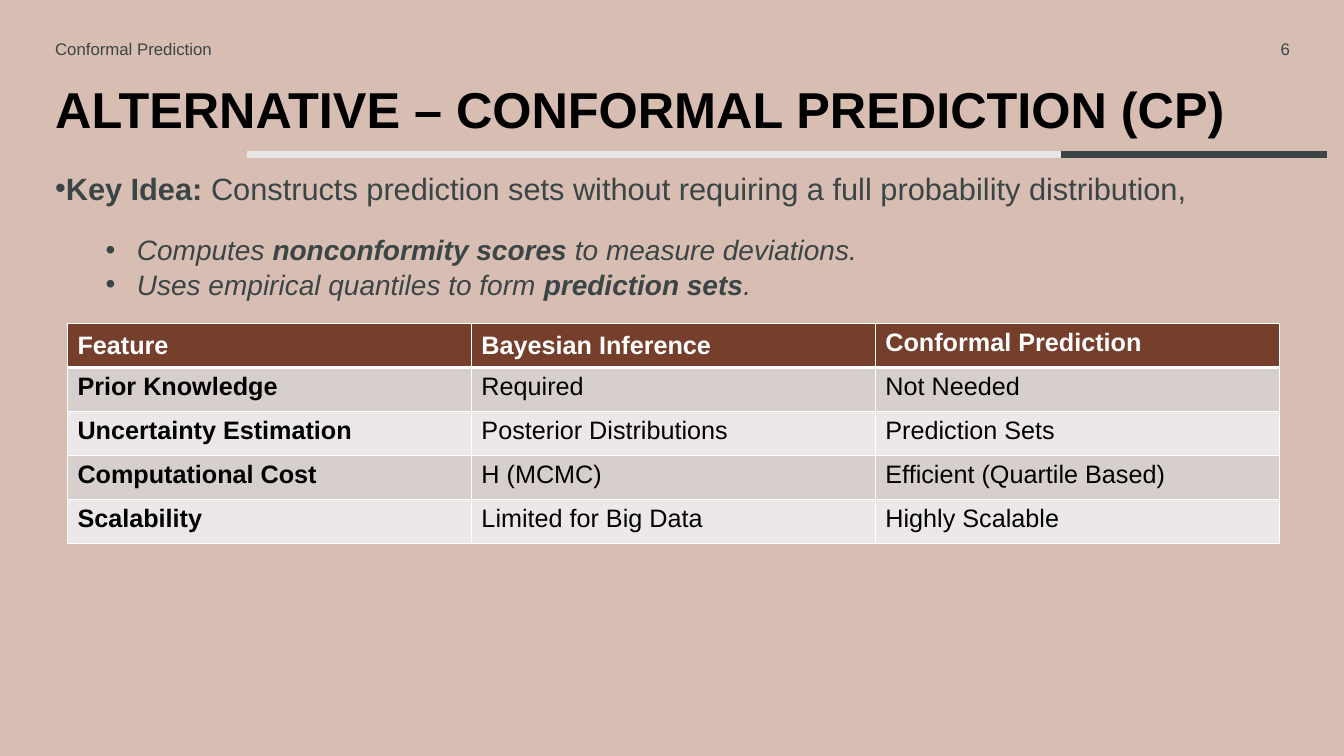
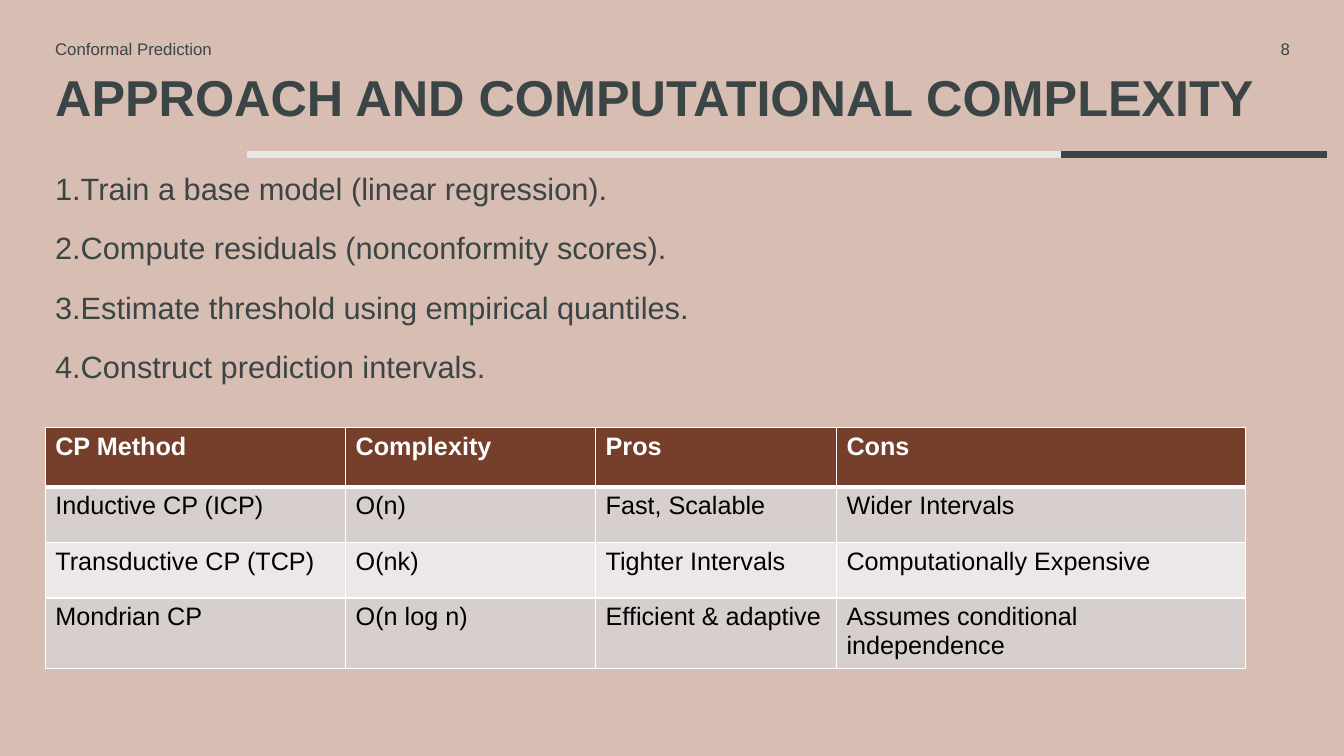
"""Builds two slides on conformal prediction."""
from lxml import etree
from pptx import Presentation
from pptx import util as u
from pptx.dml.color import RGBColor
from pptx.enum import shapes, text
from pptx.oxml.ns import qn

COLOURS = {
    "background": "D8BEB2",
    "ink": "3B4546",
    "black": "000000",
    "white": "FFFFFF",
    "rule": "E7E6E6",
    "header": "753F2C",
    "odd": "D6CFCD",
    "even": "ECE8E8",
}
FONT = "Arial"
LEFT, WIDTH = 1.14, 31.62


def rgb(name):
    return RGBColor.from_string(COLOURS[name])


class Deck:
    def __init__(self):
        self.prs = Presentation()
        self.prs.slide_width, self.prs.slide_height = u.Cm(33.87), u.Cm(19.05)
        fill = self.prs.slide_master.background.fill
        fill.solid()
        fill.fore_color.rgb = rgb("background")
        self.slide = None

    def new_slide(self, number, title, colour="ink", spacing=1.0):
        self.slide = self.prs.slides.add_slide(self.prs.slide_layouts[6])
        self.rule(6.22, 26.75, "rule")
        self.rule(26.75, 33.45, "ink")
        heading = self.box(LEFT, 1.68, WIDTH, 1.96, top=0.28)
        self.put_words(heading.paragraphs[0], title, 36, colour, bold=True)
        heading.paragraphs[0].line_spacing = spacing
        self.small_print(LEFT, 5.08, "Conformal Prediction")
        self.small_print(28.12, 4.64, str(number), text.PP_ALIGN.RIGHT)

    def rule(self, start, end, colour):
        line = self.slide.shapes.add_connector(
            shapes.MSO_CONNECTOR.STRAIGHT, u.Cm(start), u.Cm(3.89), u.Cm(end), u.Cm(3.89))
        line.line.color.rgb = rgb(colour)
        line.line.width = u.Pt(4.5)
        etree.SubElement(line._element.spPr, qn("a:effectLst"))

    def box(self, left, top_edge, width, height, top=0.13):
        frame = self.slide.shapes.add_textbox(
            u.Cm(left), u.Cm(top_edge), u.Cm(width), u.Cm(height)).text_frame
        frame.word_wrap = True
        frame.margin_top = u.Cm(top)
        return frame

    def small_print(self, left, width, words, align=text.PP_ALIGN.LEFT):
        frame = self.box(left, 0.84, width, 0.76)
        frame.vertical_anchor = text.MSO_ANCHOR.MIDDLE
        frame.paragraphs[0].alignment = align
        self.put_words(frame.paragraphs[0], words, 12)

    def put_words(self, paragraph, words, size, colour="ink", bold=False, italic=False):
        for index, part in enumerate(words.split("**")):
            if part:
                run = paragraph.add_run()
                run.text = part
                if index % 2:
                    run.font.bold = True
        font = paragraph.font
        font.name, font.size = FONT, u.Pt(size)
        font.bold, font.italic = bold, italic
        font.color.rgb = rgb(colour)

    def body(self, items):
        frame = self.box(LEFT, 4.11, WIDTH, 13.26, top=0.17)
        for index, (words, marker, level, after) in enumerate(items):
            paragraph = frame.add_paragraph() if index else frame.paragraphs[0]
            self.mark(paragraph, marker, level)
            paragraph.space_after = u.Pt(after)
            self.put_words(paragraph, words, 20 if level else 22, italic=bool(level))

    def mark(self, paragraph, marker, level):
        properties = paragraph._p.get_or_add_pPr()
        properties.set("marL", str(u.Cm(2.06) if level else 0))
        properties.set("indent", str(u.Cm(-0.79) if level else 0))
        if marker == "•":
            etree.SubElement(properties, qn("a:buFont"), typeface=FONT)
            etree.SubElement(properties, qn("a:buChar"), char=marker)
        else:
            etree.SubElement(properties, qn("a:buAutoNum"), type="arabicPeriod")

    def table(self, left, top, columns, heights, rows, bold_first=False):
        grid = self.slide.shapes.add_table(
            len(rows), len(columns), u.Cm(left), u.Cm(top),
            u.Cm(sum(columns)), u.Cm(sum(heights))).table
        for column, width in zip(grid.columns, columns):
            column.width = u.Cm(width)
        for r, (row, height, entries) in enumerate(zip(grid.rows, heights, rows)):
            row.height = u.Cm(height)
            band = "header" if r == 0 else "odd" if r % 2 else "even"
            for c, (cell, words) in enumerate(zip(row.cells, entries)):
                cell.fill.solid()
                cell.fill.fore_color.rgb = rgb(band)
                self.put_words(cell.text_frame.paragraphs[0], words, 18,
                               "black" if r else "white",
                               bold=r == 0 or (bold_first and c == 0))
                self.borders(cell, top=3 if r == 1 else 1, bottom=1 if r else 3)
        return grid

    def borders(self, cell, top, bottom):
        properties = cell._tc.get_or_add_tcPr()
        sides = {"lnL": 1, "lnR": 1, "lnT": top, "lnB": bottom}
        for index, (side, width) in enumerate(sides.items()):
            edge = etree.Element(qn(f"a:{side}"), w=str(u.Pt(width)))
            fill = etree.SubElement(edge, qn("a:solidFill"))
            etree.SubElement(fill, qn("a:srgbClr"), val=COLOURS["white"])
            properties.insert(index, edge)


def main():
    deck = Deck()

    deck.new_slide(6, "ALTERNATIVE – CONFORMAL PREDICTION (CP)", "black")
    deck.body([
        ("**Key Idea: **Constructs prediction sets without requiring "
         "a full probability distribution,", "•", 0, 18.6),
        ("Computes **nonconformity scores** to measure deviations.", "•", 1, 0.6),
        ("Uses empirical quantiles to form **prediction sets**.", "•", 1, 0.6),
    ])
    comparison = deck.table(1.7, 8.15, [10.18] * 3, [1.11] * 5, [
        ("Feature", "Bayesian Inference", "Conformal Prediction"),
        ("Prior Knowledge", "Required", "Not Needed"),
        ("Uncertainty Estimation", "Posterior Distributions", "Prediction Sets"),
        ("Computational Cost", "H (MCMC)", "Efficient (Quartile Based)"),
        ("Scalability", "Limited for Big Data", "Highly Scalable"),
    ], bold_first=True)
    for column in (0, 1):
        comparison.cell(0, column).vertical_anchor = text.MSO_ANCHOR.MIDDLE

    deck.new_slide(8, "APPROACH AND COMPUTATIONAL COMPLEXITY", spacing=0.8)
    steps = ("Train a base model (linear regression).",
             "Compute residuals (nonconformity scores).",
             "Estimate threshold using empirical quantiles.",
             "Construct prediction intervals.")
    deck.body([(step, "1.", 0, 16) for step in steps])
    deck.table(1.14, 10.77, [7.57, 6.3, 6.07, 10.31], [1.5, 1.4, 1.4, 1.68], [
        ("CP Method", "Complexity", "Pros", "Cons"),
        ("Inductive CP (ICP)", "O(n)", "Fast, Scalable", "Wider Intervals"),
        ("Transductive CP (TCP)", "O(nk)", "Tighter Intervals", "Computationally Expensive"),
        ("Mondrian CP", "O(n log n)", "Efficient & adaptive",
         "Assumes conditional independence"),
    ])

    deck.prs.save("out.pptx")


if __name__ == "__main__":
    main()
